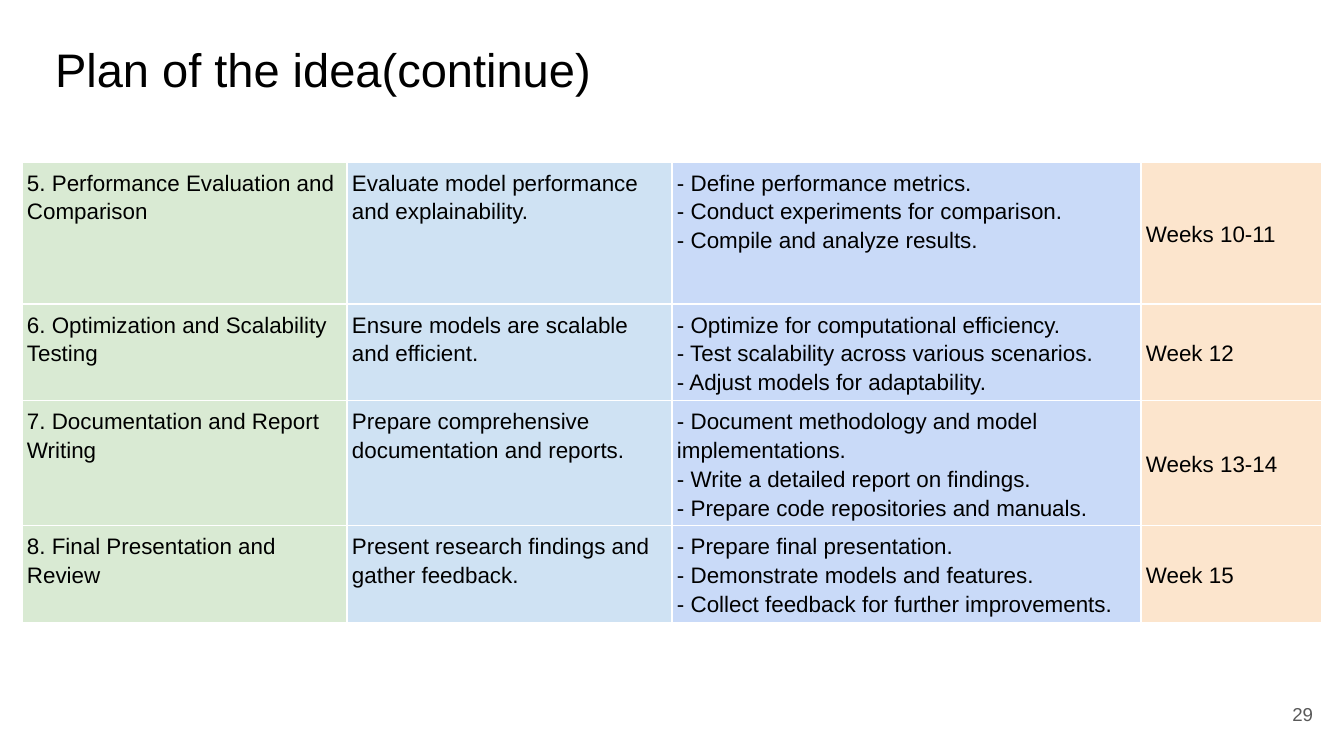
from lxml.etree import SubElement
from pptx import Presentation
from pptx.dml.color import RGBColor
from pptx.enum.text import MSO_ANCHOR, MSO_AUTO_SIZE, PP_ALIGN
from pptx.oxml.ns import qn
from pptx.util import Emu, Pt

EMU_PER_PX = 914400 / 134.4
FONT = "Arial"
BLACK = RGBColor(0x00, 0x00, 0x00)
GRAY = RGBColor(0x59, 0x59, 0x59)
GREEN = RGBColor(0xD9, 0xEA, 0xD3)
SKY = RGBColor(0xCF, 0xE2, 0xF3)
PERIWINKLE = RGBColor(0xC9, 0xDA, 0xF8)
PEACH = RGBColor(0xFC, 0xE5, 0xCD)
WHITE = RGBColor(0xFF, 0xFF, 0xFF)

COLUMNS = [
    (325, GREEN, MSO_ANCHOR.TOP),
    (325, SKY, MSO_ANCHOR.TOP),
    (469, PERIWINKLE, MSO_ANCHOR.TOP),
    (181, PEACH, MSO_ANCHOR.MIDDLE),
]
ROW_HEIGHTS = [142, 56, 56, 56]
PLAN = [
    ("5. Performance Evaluation and Comparison",
     "Evaluate model performance and explainability.",
     "- Define performance metrics.\n"
     "- Conduct experiments for comparison.\n"
     "- Compile and analyze results.",
     "Weeks 10-11"),
    ("6. Optimization and Scalability Testing",
     "Ensure models are scalable and efficient.",
     "- Optimize for computational efficiency.\n"
     "- Test scalability across various scenarios.\n"
     "- Adjust models for adaptability.",
     "Week 12"),
    ("7. Documentation and Report Writing",
     "Prepare comprehensive documentation and reports.",
     "- Document methodology and model implementations.\n"
     "- Write a detailed report on findings.\n"
     "- Prepare code repositories and manuals.",
     "Weeks 13-14"),
    ("8. Final Presentation and Review",
     "Present research findings and gather feedback.",
     "- Prepare final presentation.\n"
     "- Demonstrate models and features.\n"
     "- Collect feedback for further improvements.",
     "Week 15"),
]


def px(length):
    return Emu(round(length * EMU_PER_PX))


def write(frame, text, size, color, align=PP_ALIGN.LEFT, spacing=None):
    frame.text = text
    frame.word_wrap = True
    for paragraph in frame.paragraphs:
        paragraph.alignment = align
        paragraph.line_spacing = spacing
        paragraph.font.name = FONT
        paragraph.font.size = Pt(size)
        paragraph.font.color.rgb = color


def set_insets(target, inset):
    target.margin_left = target.margin_right = px(inset)
    target.margin_top = target.margin_bottom = px(inset)


def add_borders(cell, color, width):
    properties = cell._tc.get_or_add_tcPr()
    for index, side in enumerate(("lnL", "lnR", "lnT", "lnB")):
        line = properties.makeelement(qn(f"a:{side}"), {"w": str(Pt(width))})
        fill = SubElement(line, qn("a:solidFill"))
        SubElement(fill, qn("a:srgbClr"), val=str(color))
        properties.insert(index, line)


def place_title(slide, text):
    title = slide.shapes.title
    title.left, title.top, title.width, title.height = map(px, (42, 26, 1252, 85))
    frame = title.text_frame
    write(frame, text, 25.2, BLACK)
    set_insets(frame, 13)
    frame.auto_size = MSO_AUTO_SIZE.NONE
    frame.vertical_anchor = MSO_ANCHOR.MIDDLE


def add_plan(slide):
    width = sum(column[0] for column in COLUMNS)
    plan = slide.shapes.add_table(
        len(PLAN), len(COLUMNS), px(22), px(162), px(width), px(sum(ROW_HEIGHTS))
    ).table
    plan.first_row = plan.horz_banding = False
    for column, (column_width, _, _) in zip(plan.columns, COLUMNS):
        column.width = px(column_width)
    for row, height, texts in zip(plan.rows, ROW_HEIGHTS, PLAN):
        row.height = px(height)
        for cell, text, (_, color, anchor) in zip(row.cells, texts, COLUMNS):
            write(cell.text_frame, text, 12, BLACK, spacing=1.15)
            set_insets(cell, 5)
            cell.vertical_anchor = anchor
            cell.fill.solid()
            cell.fill.fore_color.rgb = color
            add_borders(cell, WHITE, 0.75)


def add_page_number(slide, number):
    box = slide.shapes.add_textbox(px(1246), px(685), px(80), px(58))
    frame = box.text_frame
    write(frame, number, 10, GRAY, PP_ALIGN.RIGHT)
    set_insets(frame, 13)
    frame.vertical_anchor = MSO_ANCHOR.MIDDLE


def main():
    deck = Presentation()
    deck.slide_width, deck.slide_height = px(1344), px(756)
    slide = deck.slides.add_slide(deck.slide_layouts[5])
    place_title(slide, "Plan of the idea(continue)")
    add_plan(slide)
    add_page_number(slide, "29")
    deck.save("out.pptx")


if __name__ == "__main__":
    main()
